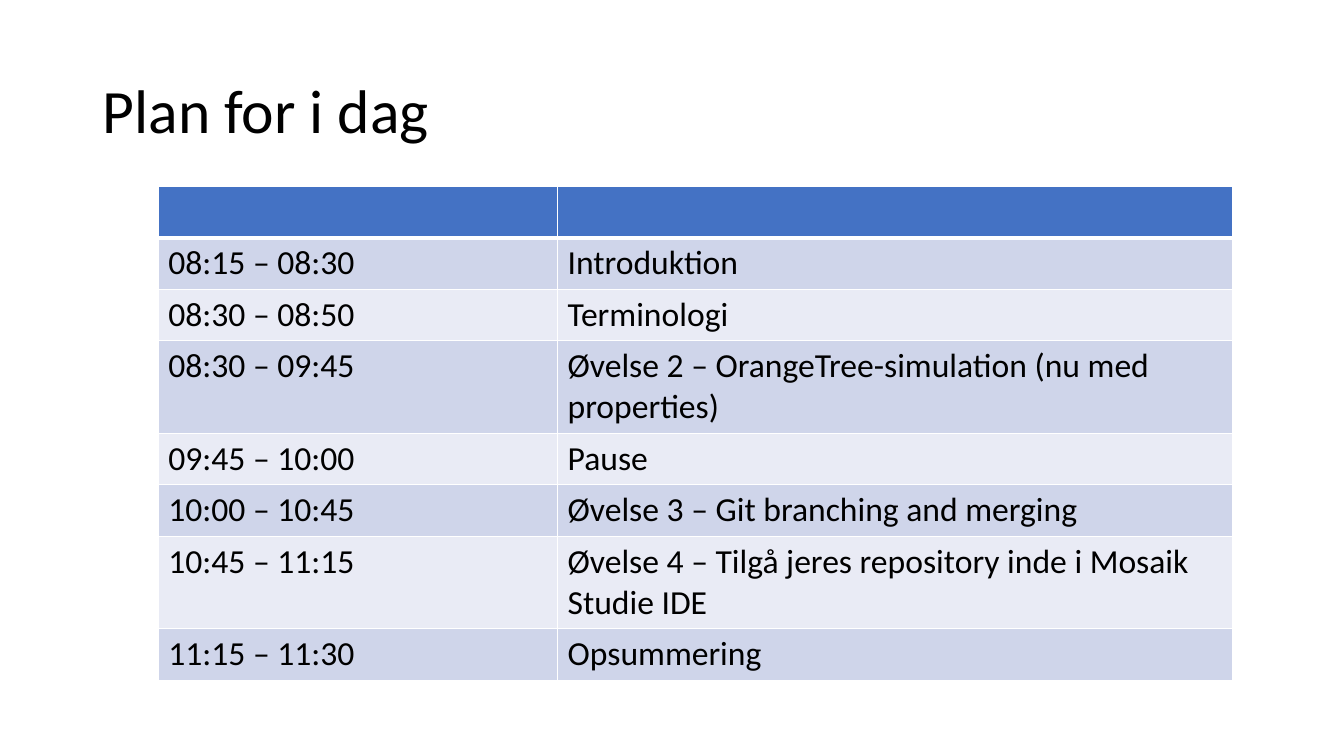
import pptx
import pptx.dml.color
import pptx.enum.text
import pptx.oxml.ns
import pptx.util
from lxml import etree

Inches = pptx.util.Inches
Pt = pptx.util.Pt
RGBColor = pptx.dml.color.RGBColor

BLACK = RGBColor(0x00, 0x00, 0x00)
WHITE = RGBColor(0xFF, 0xFF, 0xFF)
HEADER_BLUE = RGBColor(0x44, 0x72, 0xC4)
BAND_COLORS = (RGBColor(0xCF, 0xD5, 0xEA), RGBColor(0xE9, 0xEB, 0xF5))

COLUMN_WIDTHS = (3.96, 6.7)
SINGLE_LINE = 0.51
DOUBLE_LINE = 0.92
AGENDA = (
    ("", "", SINGLE_LINE),
    ("08:15 – 08:30", "Introduktion", SINGLE_LINE),
    ("08:30 – 08:50", "Terminologi", SINGLE_LINE),
    ("08:30 – 09:45", "Øvelse 2 – OrangeTree-simulation (nu med properties)", DOUBLE_LINE),
    ("09:45 – 10:00", "Pause", SINGLE_LINE),
    ("10:00 – 10:45", "Øvelse 3 – Git branching and merging", SINGLE_LINE),
    ("10:45 – 11:15", "Øvelse 4 – Tilgå jeres repository inde i Mosaik Studie IDE", DOUBLE_LINE),
    ("11:15 – 11:30", "Opsummering", SINGLE_LINE),
)


class AgendaSlide:
    """Hold the text style and the current slide, and add its elements."""

    font_name = "Calibri"
    title_size = 44
    table_size = 24

    def __init__(self, slide):
        self.slide = slide

    def style_paragraph(self, paragraph, size):
        paragraph.font.name = self.font_name
        paragraph.font.size = Pt(size)
        paragraph.font.bold = False
        paragraph.font.color.rgb = BLACK

    def add_title(self, text, left, top, width, height):
        shape = self.slide.shapes.add_textbox(
            Inches(left), Inches(top), Inches(width), Inches(height))
        frame = shape.text_frame
        frame.word_wrap = True
        frame.vertical_anchor = pptx.enum.text.MSO_ANCHOR.MIDDLE
        paragraph = frame.paragraphs[0]
        paragraph.text = text
        paragraph.line_spacing = 0.9
        self.style_paragraph(paragraph, self.title_size)

    def add_borders(self, cell, bottom_width):
        properties = cell._tc.get_or_add_tcPr()
        widths = {"a:lnL": 1, "a:lnR": 1, "a:lnT": 1, "a:lnB": bottom_width}
        for position, (tag, width) in enumerate(widths.items()):
            line = etree.Element(pptx.oxml.ns.qn(tag), w=str(Pt(width)))
            fill = etree.SubElement(line, pptx.oxml.ns.qn("a:solidFill"))
            etree.SubElement(fill, pptx.oxml.ns.qn("a:srgbClr"), val=str(WHITE))
            properties.insert(position, line)

    def add_table(self, rows, column_widths, left, top):
        table = self.slide.shapes.add_table(
            len(rows), len(column_widths), Inches(left), Inches(top),
            Inches(sum(column_widths)), Inches(sum(row[-1] for row in rows))).table
        for column, width in zip(table.columns, column_widths):
            column.width = Inches(width)
        for index, (*texts, height) in enumerate(rows):
            is_header = index == 0
            table.rows[index].height = Inches(height)
            for cell, text in zip(table.rows[index].cells, texts):
                cell.fill.solid()
                cell.fill.fore_color.rgb = HEADER_BLUE if is_header else BAND_COLORS[(index - 1) % 2]
                self.add_borders(cell, 3 if is_header else 1)
                paragraph = cell.text_frame.paragraphs[0]
                if text:
                    paragraph.text = text
                self.style_paragraph(paragraph, self.table_size)


def main():
    presentation = pptx.Presentation()
    presentation.slide_width = Inches(13.33)
    presentation.slide_height = Inches(7.5)
    agenda = AgendaSlide(presentation.slides.add_slide(presentation.slide_layouts[6]))
    agenda.add_title("Plan for i dag", 0.92, 0.4, 11.5, 1.45)
    agenda.add_table(AGENDA, COLUMN_WIDTHS, 1.57, 1.85)
    presentation.save("out.pptx")


if __name__ == "__main__":
    main()
